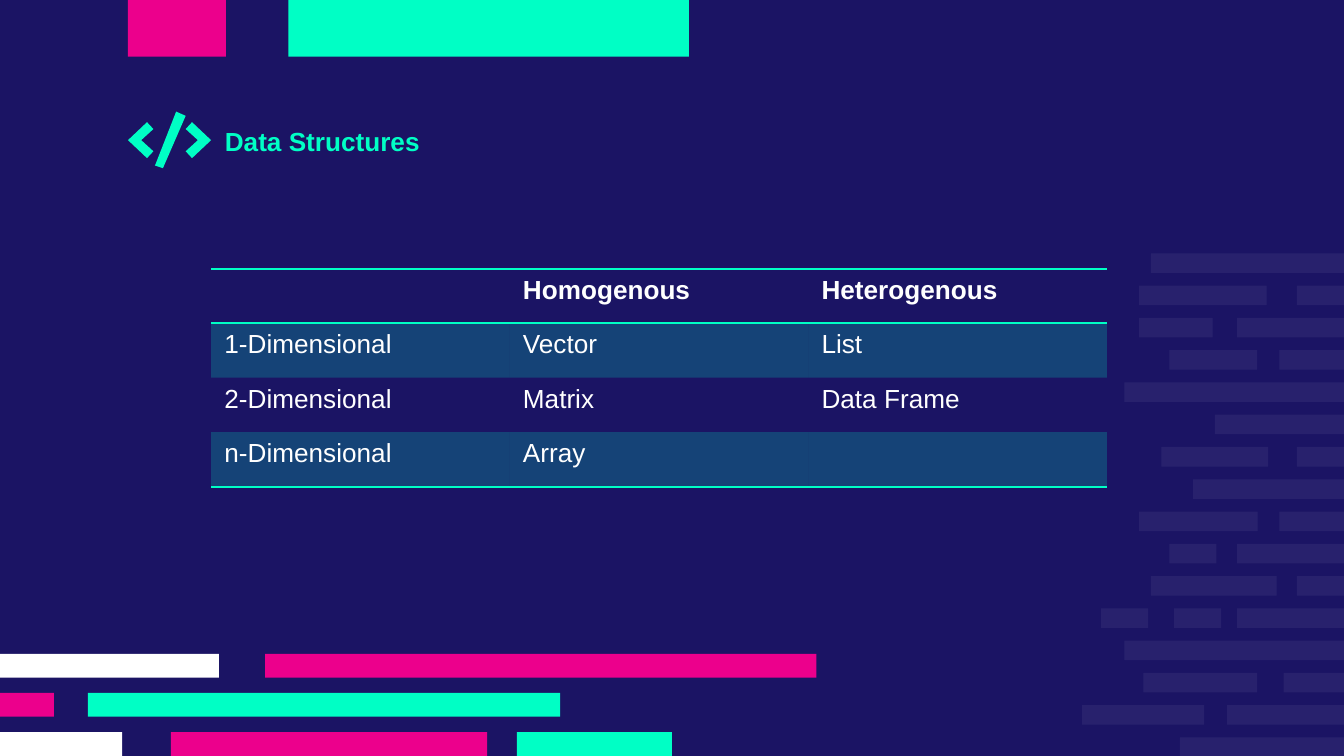
from dataclasses import dataclass

from pptx import Presentation
from pptx.dml.color import RGBColor
from pptx.enum.shapes import MSO_SHAPE
from pptx.oxml.ns import qn
from pptx.oxml.xmlchemy import OxmlElement
from pptx.util import Cm, Pt

RECTANGLE = MSO_SHAPE.RECTANGLE


@dataclass(frozen=True)
class Theme:
    """Colours, opacities in percent, and type of the slide."""
    navy: str = "1B1464"
    teal: str = "00FFC5"
    pink: str = "EC008C"
    white: str = "FFFFFF"
    brick_alpha: int = 6
    band_alpha: int = 20
    font: str = "Arial"
    size: int = 14
    rule: int = 1


THEME = Theme()
BRICK_ROWS = [
    [(1.3, 4.95)],
    [(1.08, 3.49), (4.06, 4.95)],
    [(1.08, 2.47), (2.93, 4.95)],
    [(1.65, 3.31), (3.73, 4.95)],
    [(0.8, 4.95)],
    [(2.51, 4.95)],
    [(1.5, 3.52), (4.06, 4.95)],
    [(2.1, 4.95)],
    [(1.08, 3.32), (3.73, 4.95)],
    [(1.65, 2.54), (2.93, 4.95)],
    [(1.3, 3.68), (4.06, 4.95)],
    [(0.36, 1.25), (1.74, 2.63), (2.93, 4.95)],
    [(0.8, 4.95)],
    [(1.16, 3.31), (3.81, 4.95)],
    [(0, 2.31), (2.74, 4.95)],
    [(1.85, 4.95)],
]
HEADER_BARS = [[(0, 1.85, THEME.pink), (3.03, 10.6, THEME.teal)]]
FOOTER_BARS = [
    [(0, 4.14, THEME.white), (5.01, 15.43, THEME.pink)],
    [(0, 1.02, THEME.pink), (1.66, 10.59, THEME.teal)],
    [(0, 2.31, THEME.white), (3.23, 9.21, THEME.pink), (9.77, 12.7, THEME.teal)],
]
TABLE_ROWS = [
    ["", "Homogenous", "Heterogenous"],
    ["1-Dimensional", "Vector", "List"],
    ["2-Dimensional", "Matrix", "Data Frame"],
    ["n-Dimensional", "Array", ""],
]


def set_fill(fill, color):
    """Fill with a solid colour."""
    fill.solid()
    fill.fore_color.rgb = RGBColor.from_string(color)


def set_alpha(props, percent):
    """Set the opacity of the solid fill held by a properties element."""
    alpha = OxmlElement("a:alpha")
    alpha.set("val", str(percent * 1000))
    props.find(qn("a:solidFill"))[0].append(alpha)


def style_shape(sp, color):
    """Give a shape a flat fill without line or shadow."""
    sp.shadow.inherit = False
    sp.line.fill.background()
    set_fill(sp.fill, color)


def style_text(p, color, bold):
    """Set the font of a paragraph."""
    p.font.name, p.font.size, p.font.bold = THEME.font, Pt(THEME.size), bold
    p.font.color.rgb = RGBColor.from_string(color)


def add_bars(s, x, y, rows, height, pitch=0):
    """Stack rows of (start, end, colour) bars."""
    bars = []
    for i, row in enumerate(rows):
        for start, end, color in row:
            sp = s.shapes.add_shape(RECTANGLE, Cm(x + start), Cm(y + i * pitch),
                                    Cm(end - start), Cm(height))
            style_shape(sp, color)
            bars.append(sp)
    return bars


def add_bricks(s, x, y, height, pitch):
    """Draw the faint brick wall."""
    rows = [[(start, end, THEME.white) for start, end in row] for row in BRICK_ROWS]
    for sp in add_bars(s, x, y, rows, height, pitch):
        set_alpha(sp._element.spPr, THEME.brick_alpha)


def add_code_icon(s, x, y, width):
    """Draw a slash between two mirrored chevrons."""
    slash = [(0.91, 0), (0.51, 1.02), (0.66, 1.07), (1.09, 0.08)]
    left = [(0.36, 0.2), (0, 0.54), (0.36, 0.88), (0.48, 0.75), (0.25, 0.54), (0.48, 0.33)]
    right = [(width - px, py) for px, py in left]
    for outline in (slash, left, right):
        points = [(Cm(x + px), Cm(y + py)) for px, py in outline]
        builder = s.shapes.build_freeform(*points[0])
        builder.add_line_segments(points[1:], close=True)
        style_shape(builder.convert_to_shape(), THEME.teal)


def add_title(s, x, y, width, height):
    """Write the slide title."""
    tf = s.shapes.add_textbox(Cm(x), Cm(y), Cm(width), Cm(height)).text_frame
    tf.word_wrap = True
    tf.margin_left = tf.margin_right = tf.margin_top = tf.margin_bottom = Cm(0.25)
    p = tf.paragraphs[0]
    p.text = "Data Structures"
    p.line_spacing = 1.15
    style_text(p, THEME.teal, True)


def set_borders(cell, ruled):
    """Rule the named sides of a cell and clear the others."""
    tc_pr = cell._tc.get_or_add_tcPr()
    for side in "LRTB":
        ln = OxmlElement(f"a:ln{side}")
        ln.set("w", str(Pt(THEME.rule)))
        if side in ruled:
            fill = OxmlElement("a:solidFill")
            color = OxmlElement("a:srgbClr")
            color.set("val", THEME.teal)
            fill.append(color)
        else:
            fill = OxmlElement("a:noFill")
        ln.append(fill)
        tc_pr.append(ln)


def add_structure_table(s, x, y, width, height):
    """Build the table of data structures with alternating bands."""
    n_rows, n_cols = len(TABLE_ROWS), len(TABLE_ROWS[0])
    table = s.shapes.add_table(n_rows, n_cols, Cm(x), Cm(y), Cm(width), Cm(height)).table
    table.first_row = table.horz_banding = False
    borders = {0: "TB", 1: "T", n_rows - 1: "B"}
    for i, row in enumerate(TABLE_ROWS):
        for j, text in enumerate(row):
            cell = table.cell(i, j)
            cell.margin_left = cell.margin_right = Cm(0.25)
            cell.margin_top = cell.margin_bottom = Cm(0.13)
            set_borders(cell, borders.get(i, ""))
            if i % 2:
                set_fill(cell.fill, THEME.teal)
                set_alpha(cell._tc.tcPr, THEME.band_alpha)
            else:
                cell.fill.background()
            p = cell.text_frame.paragraphs[0]
            p.text = text
            style_text(p, THEME.white, i == 0)


def main():
    """Build and save the slide."""
    prs = Presentation()
    prs.slide_width, prs.slide_height = Cm(25.4), Cm(14.29)
    s = prs.slides.add_slide(prs.slide_layouts[6])
    set_fill(s.background.fill, THEME.navy)
    add_bricks(s, 20.45, 4.79, 0.37, 0.61)
    add_bars(s, 2.42, 0, HEADER_BARS, 1.07)
    add_code_icon(s, 2.42, 2.11, 1.57)
    add_bars(s, 0, 12.36, FOOTER_BARS, 0.45, 0.74)
    add_title(s, 4, 2.03, 5.97, 1.07)
    add_structure_table(s, 3.99, 5.08, 16.93, 4.12)
    prs.save("out.pptx")


if __name__ == "__main__":
    main()
